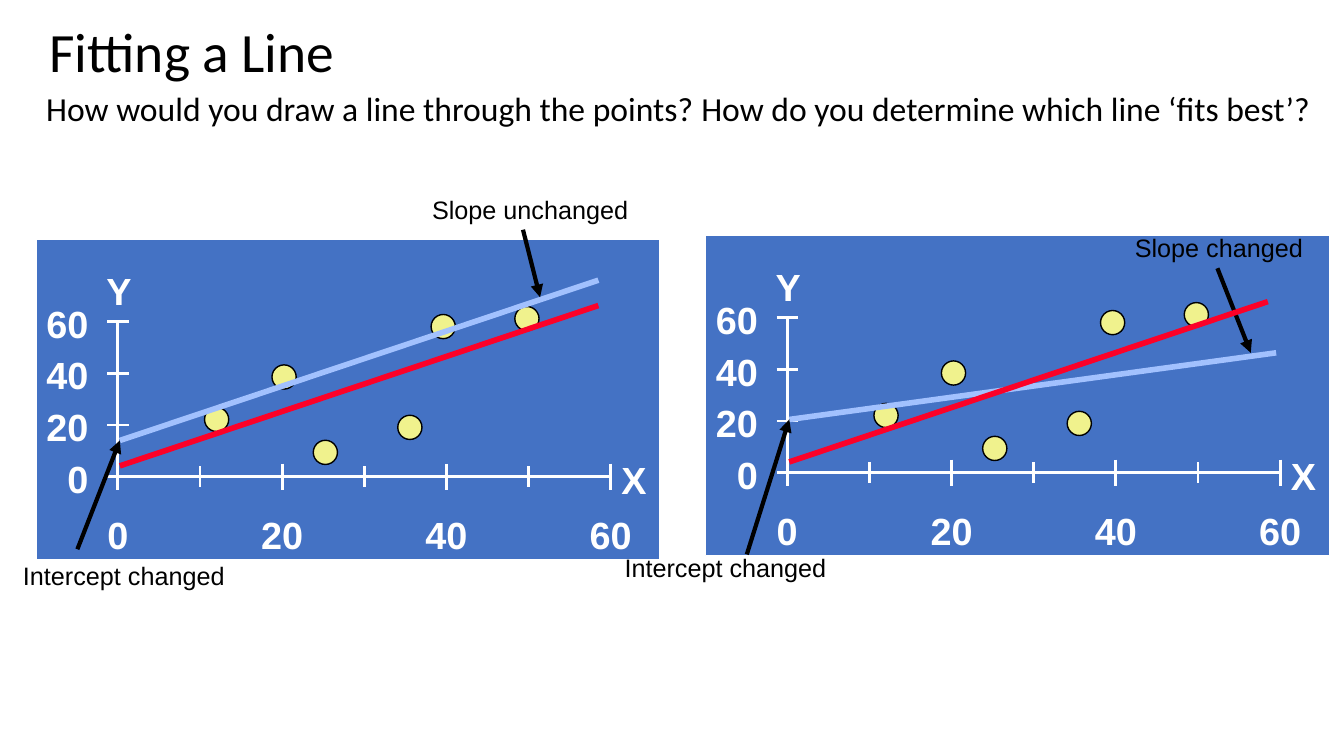
import dataclasses

import lxml.etree
import pptx
import pptx.dml.color
import pptx.enum.shapes
import pptx.enum.text
import pptx.oxml.ns
import pptx.util

Cm = pptx.util.Cm
Pt = pptx.util.Pt
RGB = pptx.dml.color.RGBColor.from_string
qn = pptx.oxml.ns.qn
ALIGN = pptx.enum.text.PP_ALIGN
ANCHOR = pptx.enum.text.MSO_ANCHOR
SHAPE = pptx.enum.shapes.MSO_SHAPE


@dataclasses.dataclass(frozen=True)
class Theme:
    """Colours and text formats of the slide."""
    black: str = "000000"
    white: str = "FFFFFF"
    panel: str = "4472C4"
    dot: str = "F0F28D"
    first_fit: str = "FC0128"
    new_fit: str = "A2C1FE"
    title = {"name": "Calibri", "size": Pt(39.6), "color": "000000"}
    body = {"name": "Calibri", "size": Pt(24), "color": "000000"}
    axis = {"name": "Arial", "size": Pt(27), "bold": True, "color": "FFFFFF"}
    note = {"name": "Arial", "size": Pt(18), "color": "000000"}


THEME = Theme()
STEP_X, STEP_Y = 2.07, 1.3
ORIGIN_X, ORIGIN_Y = 2.06, 5.99
DOT = 0.61
DOTS = [(7.29, 5.38), (12.37, 2.01), (6.25, 3.48),
        (10.26, 2.21), (9.42, 4.75), (4.55, 4.55)]
FIRST_FIT = ((2.11, 5.72), (14.17, 1.68))


def style(font, fmt):
    """Set font attributes from a dict of format values."""
    for name, value in fmt.items():
        if name == "color":
            font.color.rgb = RGB(value)
        else:
            setattr(font, name, value)


def add_label(slide, text, box, fmt, align=ALIGN.LEFT):
    """Add a one-line text box."""
    tf = slide.shapes.add_textbox(*map(Cm, box)).text_frame
    tf.word_wrap = False
    p = tf.paragraphs[0]
    p.alignment = align
    r = p.add_run()
    r.text = text
    style(r.font, fmt)


def add_line(slide, origin, start, end, color, width, arrow=False):
    """Add a straight line between two points measured from origin."""
    x, y = origin
    ends = (x + start[0], y + start[1], x + end[0], y + end[1])
    s = slide.shapes.add_connector(
        pptx.enum.shapes.MSO_CONNECTOR.STRAIGHT, *map(Cm, ends))
    s.line.color.rgb = RGB(color)
    s.line.width = Pt(width)
    sp_pr = s._element.spPr
    if arrow:
        lxml.etree.SubElement(sp_pr.find(qn("a:ln")), qn("a:tailEnd"), type="triangle")
    lxml.etree.SubElement(sp_pr, qn("a:effectLst"))


def add_solid(slide, kind, box, fill, line):
    """Add a filled shape with a thin outline."""
    s = slide.shapes.add_shape(kind, *map(Cm, box))
    s.shadow.inherit = False
    s.fill.solid()
    s.fill.fore_color.rgb = RGB(fill)
    s.line.color.rgb = RGB(line)
    s.line.width = Pt(1)


def add_heading(ph, text, box, fmt, anchor, spacing, tab=None):
    """Place a title or body placeholder and fill it."""
    ph.left, ph.top, ph.width, ph.height = map(Cm, box)
    tf = ph.text_frame
    tf.word_wrap = True
    tf.auto_size = pptx.enum.text.MSO_AUTO_SIZE.NONE
    tf.vertical_anchor = anchor
    p = tf.paragraphs[0]
    pPr = p._p.get_or_add_pPr()
    pPr.set("marL", "0")
    pPr.set("indent", "0")
    lxml.etree.SubElement(pPr, qn("a:buNone"))
    if tab:
        tabs = lxml.etree.SubElement(pPr, qn("a:tabLst"))
        lxml.etree.SubElement(tabs, qn("a:tab"), pos=str(int(Cm(tab))), algn="l")
    for name, value in {"alignment": ALIGN.LEFT, "line_spacing": spacing,
                        "space_before": Pt(0)}.items():
        setattr(p, name, value)
    r = p.add_run()
    r.text = text
    style(r.font, fmt)


def add_axes(slide, box):
    """Draw both axes with their ticks and labels."""
    x, y = box[:2]

    def line(start, end):
        add_line(slide, (x, y), start, end, THEME.white, 2)

    line((ORIGIN_X, ORIGIN_Y - 3 * STEP_Y), (ORIGIN_X, ORIGIN_Y))
    line((ORIGIN_X, ORIGIN_Y), (ORIGIN_X + 6 * STEP_X, ORIGIN_Y))
    for i in range(4):
        tick = ORIGIN_Y - i * STEP_Y
        line((ORIGIN_X - 0.27, tick), (ORIGIN_X + 0.27, tick))
        add_label(slide, str(20 * i), (x, y + tick - 0.66, 1.57, 1.4),
                  THEME.axis, ALIGN.RIGHT)
    for i in range(7):
        tick = ORIGIN_X + i * STEP_X
        half = 0.26 if i % 2 else 0.33
        line((tick, ORIGIN_Y - half), (tick, ORIGIN_Y + half))
        if i % 2 == 0:
            add_label(slide, str(10 * i), (x + tick - 0.79, y + 6.76, 1.58, 1.4),
                      THEME.axis, ALIGN.CENTER)
    add_label(slide, "X", (x + 14.5, y + 5.36, 1.14, 1.4), THEME.axis)
    add_label(slide, "Y", (x + 1.52, y + 0.61, 1.14, 1.4), THEME.axis)


def add_panel(slide, box, new_fit, slope_arrow, intercept_from, notes):
    """Draw one scatter panel with two fitted lines and their notes."""
    x, y = box[:2]
    add_solid(slide, SHAPE.RECTANGLE, box, THEME.panel, THEME.white)
    add_axes(slide, box)
    for cx, cy in DOTS:
        add_solid(slide, SHAPE.OVAL, (x + cx - DOT / 2, y + cy - DOT / 2, DOT, DOT),
                  THEME.dot, THEME.black)
    add_line(slide, (x, y), *new_fit, THEME.new_fit, 4)
    add_line(slide, (x, y), *slope_arrow, THEME.black, 3, arrow=True)
    for text, left, top, width in notes:
        add_label(slide, text, (x + left, y + top, width, 1.02), THEME.note)
    add_line(slide, (x, y), FIRST_FIT[0], FIRST_FIT[0], THEME.black, 1, arrow=True)
    add_line(slide, (x, y), intercept_from, new_fit[0], THEME.black, 3, arrow=True)
    add_line(slide, (x, y), *FIRST_FIT, THEME.first_fit, 4)


def main():
    """Build the slide and save it."""
    prs = pptx.Presentation()
    prs.slide_width, prs.slide_height = Cm(33.87), Cm(19.05)
    slide = prs.slides.add_slide(prs.slide_layouts[1])
    title, body = slide.placeholders
    add_heading(title, "Fitting a Line", (0.99, 0.46, 19.69, 1.85),
                THEME.title, ANCHOR.MIDDLE, 0.9)
    add_heading(body, "How would you draw a line through the points?\t"
                "How do you determine which line ‘fits best’?",
                (0.91, 2.08, 32.49, 2.31), THEME.body, ANCHOR.TOP, 1.0, tab=16.9)
    add_panel(slide, (0.91, 6.02, 15.72, 8.08),
              new_fit=((2.11, 5.08), (14.17, 1.04)),
              slope_arrow=((12.27, -0.23), (12.7, 1.47)),
              intercept_from=(1.04, 7.82),
              notes=[("Slope unchanged", 9.73, -1.24, 5.46),
                     ("Intercept changed", -0.58, 7.98, 5.59)])
    add_panel(slide, (17.78, 5.92, 15.72, 8.08),
              new_fit=((2.11, 4.65), (14.38, 2.97)),
              slope_arrow=((12.9, 0.84), (13.74, 2.97)),
              intercept_from=(1.04, 8.05),
              notes=[("Slope changed", 10.57, -0.2, 4.75),
                     ("Intercept changed", -2.29, 7.87, 5.59)])
    prs.save("out.pptx")


if __name__ == "__main__":
    main()
